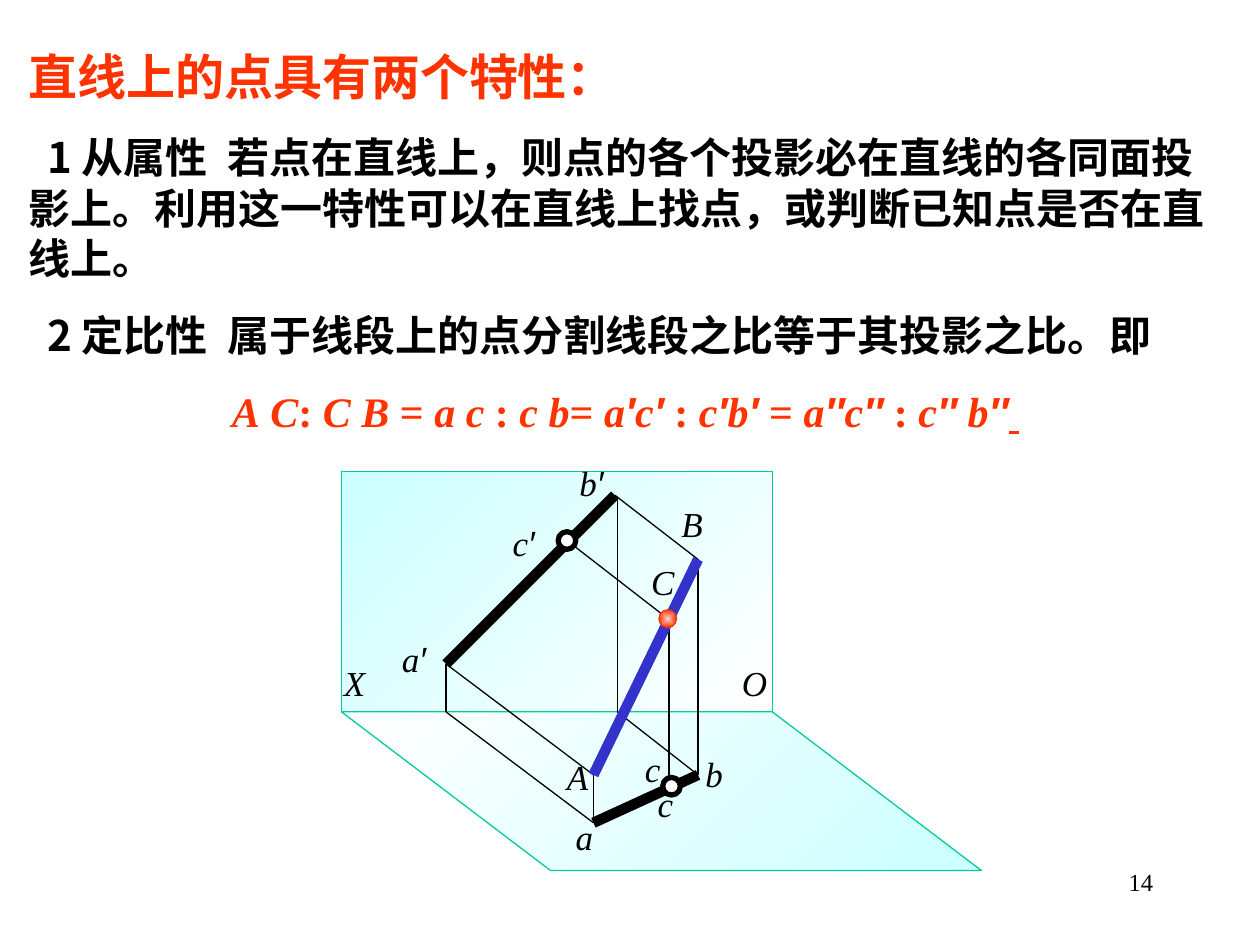
from itertools import groupby
from lxml import etree
from pptx import Presentation
from pptx.dml.color import RGBColor
from pptx.enum.shapes import MSO_CONNECTOR as CONN, MSO_SHAPE as SHAPE
from pptx.enum.text import MSO_AUTO_SIZE as AUTO, PP_ALIGN as ALIGN
from pptx.oxml.ns import qn
from pptx.util import Inches, Pt

CJK, SERIF, SANS = "Noto Sans CJK SC", "Times New Roman", "Arial"
RED, BLACK, BLUE = "FF3300", "000000", "3333CC"
WHITE, CYAN, GREEN = "FFFFFF", "CCFFFF", "00CC99"


def color(value):
    return RGBColor.from_string(value)


def add_run(p, text, size, font, fill, bold=False, italic=False):
    r = p.add_run()
    r.text = text
    f = r.font
    f.size, f.name, f.bold, f.italic = Pt(size), font, bold, italic
    f.color.rgb = color(fill)
    etree.SubElement(r._r.get_or_add_rPr(), qn("a:ea"), typeface=font)
    return r


def char_style(ch):
    if ch in "′″":
        return SANS, True
    return SERIF, ch.isalpha()


def add_math(p, text, size, fill, bold=False):
    for (font, italic), chars in groupby(text, char_style):
        add_run(p, "".join(chars), size, font, fill, bold, italic)


def add_box(s, x, y, w, h):
    tf = s.shapes.add_textbox(Inches(x), Inches(y), Inches(w), Inches(h)).text_frame
    tf.word_wrap = True
    return tf


def add_item(tf, text):
    p = tf.add_paragraph()
    p.space_before = Pt(15)
    pPr = p._p.get_or_add_pPr()
    pPr.set("marL", "0")
    pPr.set("indent", str(Inches(0.15)))
    add_run(p, text, 24, CJK, BLACK, True)


def add_statement(s, x, y, w, h):
    tf = add_box(s, x, y, w, h)
    tf.auto_size = AUTO.SHAPE_TO_FIT_TEXT
    add_run(tf.paragraphs[0], "直线上的点具有两个特性：", 28, CJK, RED, True)
    add_item(tf, "1 从属性  若点在直线上，则点的各个投影必在直线的各同面投影上。"
             "利用这一特性可以在直线上找点，或判断已知点是否在直线上。")
    add_item(tf, "2 定比性  属于线段上的点分割线段之比等于其投影之比。即")
    p = tf.add_paragraph()
    p.alignment, p.space_before = ALIGN.CENTER, Pt(15)
    add_math(p, "A C: C B = a c : c b= a′c′ : c′b′ = a″c″ : c″ b″", 24, RED, True)
    add_run(p, " ", 24, SERIF, RED, True, True).font.underline = True


def style_shape(sp, line, width):
    sp.shadow.inherit = False
    sp.line.color.rgb = color(line)
    sp.line.width = Pt(width)


def fill_gradient(sp, start, end):
    sp.fill.gradient()
    for stop, value in zip(sp.fill.gradient_stops, (start, end)):
        stop.color.rgb = color(value)
    sp.fill.gradient_angle = 135


def fill_radial(sp, start, end):
    fill_gradient(sp, start, end)
    grad = sp._element.spPr.find(qn("a:gradFill"))
    grad.remove(grad.find(qn("a:lin")))
    path = etree.SubElement(grad, qn("a:path"), path="rect")
    etree.SubElement(path, qn("a:fillToRect"), l="50000", t="50000", r="50000", b="50000")


def add_line(s, start, end, fill=BLACK, width=0.75):
    ends = [Inches(v) for v in (*start, *end)]
    ln = s.shapes.add_connector(CONN.STRAIGHT, *ends)
    ln.line.color.rgb = color(fill)
    ln.line.width = Pt(width)
    etree.SubElement(ln._element.spPr, qn("a:effectLst"))


def add_dot(s, center, line, width, size=0.14):
    x, y = center
    sp = s.shapes.add_shape(SHAPE.OVAL, Inches(x - size / 2), Inches(y - size / 2),
                            Inches(size), Inches(size))
    style_shape(sp, line, width)
    return sp


def add_label(s, text, x, y, w=0.52):
    tf = add_box(s, x, y, w, 0.44)
    tf.auto_size = AUTO.SHAPE_TO_FIT_TEXT
    add_math(tf.paragraphs[0], text, 20, BLACK)


def add_projection(s, x, y, w, h):
    def at(dx, dy):
        return x + dx, y + dy

    horizon, slant = 1.91, 1.66
    wall = s.shapes.add_shape(SHAPE.RECTANGLE, Inches(x), Inches(y),
                              Inches(w - slant), Inches(horizon))
    fill_gradient(wall, WHITE, CYAN)
    corners = [at(0, horizon), at(slant, h), at(w, h), at(w - slant, horizon)]
    points = [(Inches(px), Inches(py)) for px, py in corners]
    fb = s.shapes.build_freeform(*points[0])
    fb.add_line_segments(points[1:], close=True)
    floor = fb.convert_to_shape()
    fill_gradient(floor, CYAN, WHITE)
    for plane in (wall, floor):
        style_shape(plane, GREEN, 0.75)

    A, B, C = at(2, 2.41), at(2.83, 0.7), at(2.59, 1.17)
    a_front, b_front, c_front = at(0.83, 1.53), at(2.17, 0.19), at(1.79, 0.55)
    a_top, b_top, c_top = at(2, 2.79), at(2.83, 2.41), at(2.62, 2.5)
    a_axis, b_axis = at(0.83, horizon), at(2.19, horizon)
    thin_lines = [
        (a_front, a_axis), (A, a_top), (b_front, B), (a_front, A), (a_axis, a_top),
        (B, b_top), (at(2.19, 0.21), b_axis), (b_axis, b_top), (c_front, C),
        (at(2.6, 1.17), at(2.6, 2.5)),
    ]
    for start, end in thin_lines:
        add_line(s, start, end)
    add_line(s, b_front, a_front, width=6)
    add_line(s, a_top, b_top, width=6)
    add_line(s, B, A, BLUE, 6)

    for center in (c_front, c_top):
        ring = add_dot(s, center, BLACK, 3)
        ring.fill.solid()
        ring.fill.fore_color.rgb = color(WHITE)
    fill_radial(add_dot(s, C, RED, 0.75), "FFCCCC", RED)

    labels = [
        ("A", 1.69, 2.21), ("B", 2.6, 0.2), ("C", 2.36, 0.66),
        ("a", 1.76, 2.68), ("b", 2.79, 2.18), ("c", 2.41, 2.42), ("c", 2.31, 2.14),
        ("a′", 0.38, 1.27), ("b′", 1.79, -0.13), ("c′", 1.26, 0.35),
        ("X", -0.08, 1.46), ("O", 3.08, 1.46),
    ]
    for text, dx, dy in labels:
        add_label(s, text, *at(dx, dy))


def add_page_number(s, x, y, w, h):
    p = add_box(s, x, y, w, h).paragraphs[0]
    p.alignment = ALIGN.RIGHT
    add_run(p, "14", 14, SERIF, BLACK)


def main():
    prs = Presentation()
    prs.slide_width, prs.slide_height = Inches(10), Inches(7.5)
    s = prs.slides.add_slide(prs.slide_layouts[6])
    add_statement(s, 0.13, 0.32, 9.67, 3.19)
    add_projection(s, 2.71, 3.74, 5.08, 3.17)
    add_page_number(s, 7.17, 6.83, 2.08, 0.5)
    prs.save("out.pptx")


if __name__ == "__main__":
    main()
